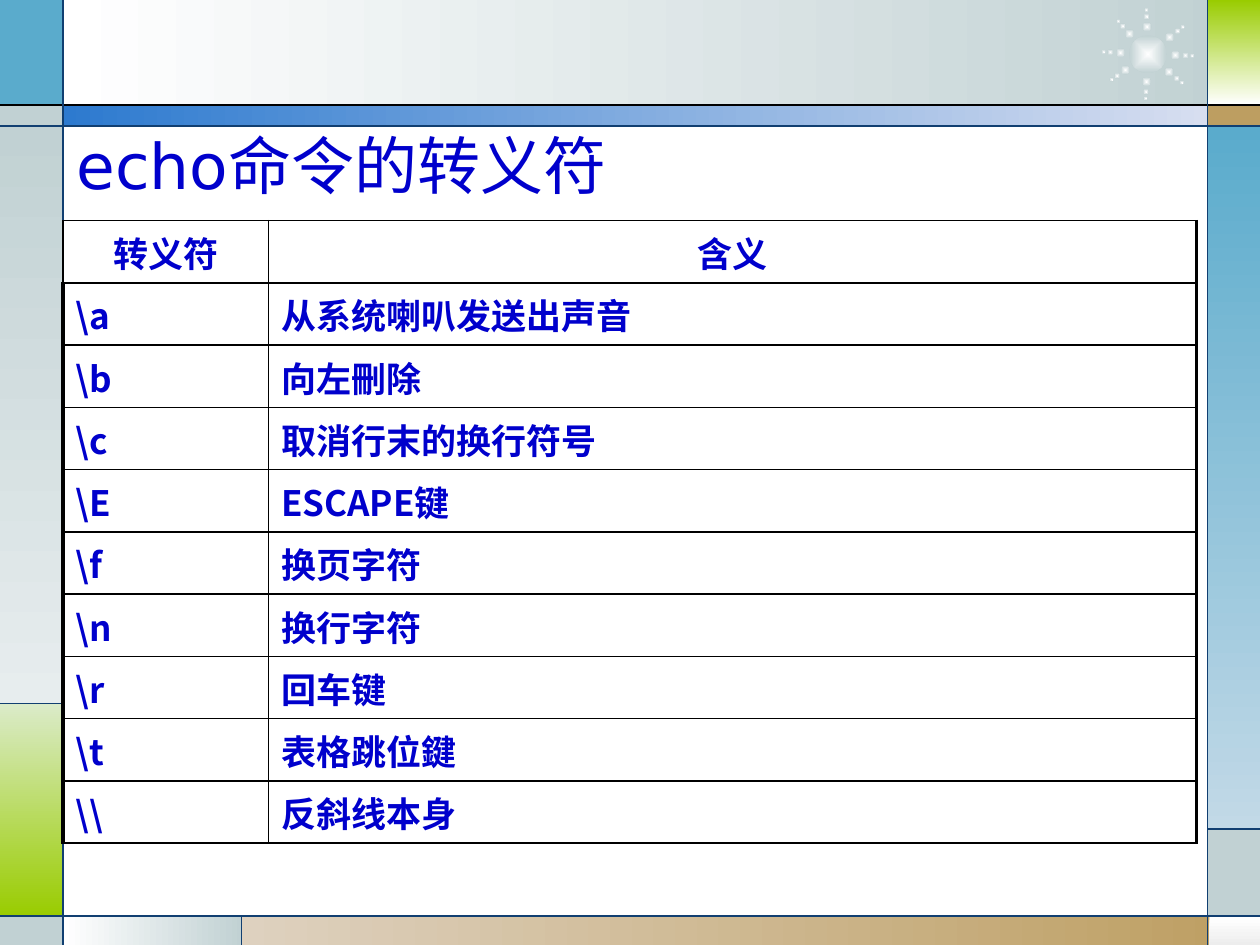
from math import cos, radians, sin

from lxml.etree import SubElement
from pptx import Presentation
from pptx.dml.color import RGBColor as Color
from pptx.enum.shapes import MSO_CONNECTOR as Connector, MSO_SHAPE as Shape
from pptx.enum.text import MSO_ANCHOR as Anchor, PP_ALIGN as Align
from pptx.oxml import parse_xml
from pptx.oxml.ns import nsdecls, qn
from pptx.util import Pt

COLORS = {
    "text": "0000CC", "black": "000000", "navy": "113F71", "white": "FFFFFF",
    "gray": "C1D1D3", "mist": "E7EDEE", "silver": "EDEDED",
    "sky": "5AABCC", "pale_sky": "C2D9E7", "blue": "2D7ACF", "pale_blue": "D7DEF0",
    "green": "99CC00", "pale_green": "DBEBC9", "tan": "BD9E61", "pale_tan": "DED1BF",
}
RIGHTWARD, DOWNWARD = 0, 270

PANELS = [
    (36, 0, 667.4, 60.5, ("white", "gray"), RIGHTWARD),
    (0, 0, 36, 60.5, ("sky",), None),
    (0, 60, 36, 12, ("gray",), None),
    (0, 72, 36, 330, ("gray", "mist"), DOWNWARD),
    (0, 402, 36, 122, ("pale_green", "green"), DOWNWARD),
    (0, 524, 36, 16, ("gray",), None),
    (36, 523.4, 103, 16.6, ("white", "gray"), RIGHTWARD),
    (138.2, 523.4, 581.8, 16.6, ("pale_tan", "tan"), RIGHTWARD),
    (691, 524, 29, 16, ("white", "silver"), DOWNWARD),
    (690.2, 473.8, 29.8, 50.2, ("gray",), None),
    (690, 72, 30, 401.8, ("sky", "pale_sky"), DOWNWARD),
    (690, 60, 30, 12, ("tan",), None),
    (690.2, 0, 29.8, 60, ("green", "white"), DOWNWARD),
    (36, 60, 654.2, 12, ("blue", "pale_blue"), RIGHTWARD),
]
RULES = [
    (0, 60, 720, 60, "black"),
    (0, 72, 720, 72, "navy"),
    (0, 523.4, 720, 523.4, "navy"),
    (36, 0, 36, 540, "navy"),
    (690, 0, 690, 540, "navy"),
    (36, 402, 0, 402, "navy"),
    (138.2, 523.4, 138.2, 540, "navy"),
    (690, 473.8, 720, 473.8, "navy"),
]
BURST_CENTER = (656, 31)
RAY_ANGLES = (40, 2, -38, 93, -92, -132, 183, 145)
RAY_DOTS = ((21.5, 3.4), (25.3, 2.5), (15.7, 5.3))
ESCAPES = [
    ("转义符", "含义"),
    ("\\a", "从系统喇叭发送出声音"),
    ("\\b", "向左刪除"),
    ("\\c", "取消行末的换行符号"),
    ("\\E", "ESCAPE键"),
    ("\\f", "换页字符"),
    ("\\n", "换行字符"),
    ("\\r", "回车键"),
    ("\\t", "表格跳位鍵"),
    ("\\\\", "反斜线本身"),
]


def rgb(name):
    """Return the colour that has this name."""
    return Color.from_string(COLORS[name])


class SlideBuilder:
    """Draws styled elements on one slide."""

    latin_font = "DejaVu Sans"
    chinese_font = "Noto Sans CJK SC"

    def __init__(self, slide):
        self.slide = slide

    def style_runs(self, paragraph, font, size, bold=False):
        """Format every run of a paragraph."""
        for run in paragraph.runs:
            run.font.name = font
            run.font.size = Pt(size)
            run.font.bold = bold
            run.font.color.rgb = rgb("text")
            east_asian = SubElement(run.font._element, qn("a:ea"))
            east_asian.set("typeface", self.chinese_font)

    def filled_shape(self, kind, left, top, width, height, fill, angle=None):
        """Add a shape without outline, in one colour or a gradient."""
        shape = self.slide.shapes.add_shape(kind, Pt(left), Pt(top), Pt(width), Pt(height))
        shape.shadow.inherit = False
        shape.line.fill.background()
        if len(fill) == 1:
            shape.fill.solid()
            shape.fill.fore_color.rgb = rgb(fill[0])
        else:
            shape.fill.gradient()
            for stop, name in zip(shape.fill.gradient_stops, fill):
                stop.color.rgb = rgb(name)
            if angle is not None:
                shape.fill.gradient_angle = angle
        return shape

    def dot(self, center_x, center_y, size):
        """Add a glowing dot around a centre."""
        shape = self.filled_shape(Shape.OVAL, center_x - size / 2, center_y - size / 2,
                                  size, size, ("white", "gray"))
        linear = shape._element.spPr.find(".//" + qn("a:lin"))
        radial = parse_xml(
            f'<a:path {nsdecls("a")} path="shape">'
            '<a:fillToRect l="50000" t="50000" r="50000" b="50000"/></a:path>')
        linear.getparent().replace(linear, radial)

    def burst(self, center, core_size):
        """Add a core with rays of dots around it."""
        self.dot(*center, core_size)
        for angle in map(radians, RAY_ANGLES):
            for radius, size in RAY_DOTS:
                self.dot(center[0] + radius * cos(angle), center[1] + radius * sin(angle), size)

    def rule(self, start_x, start_y, end_x, end_y, color):
        """Add a thin straight line."""
        connector = self.slide.shapes.add_connector(
            Connector.STRAIGHT, Pt(start_x), Pt(start_y), Pt(end_x), Pt(end_y))
        connector.line.color.rgb = rgb(color)
        connector.line.width = Pt(0.75)
        SubElement(connector._element.spPr, qn("a:effectLst"))

    def title(self, text, left, top, width, height):
        """Add the slide title."""
        shape = self.slide.shapes.add_textbox(Pt(left), Pt(top), Pt(width), Pt(height))
        text_frame = shape.text_frame
        text_frame.word_wrap = True
        text_frame.vertical_anchor = Anchor.MIDDLE
        text_frame.text = text
        self.style_runs(text_frame.paragraphs[0], self.latin_font, 36)

    def cell_borders(self, cell, widths):
        """Set the left, right, top and bottom borders of a cell."""
        properties = cell._tc.get_or_add_tcPr()
        for index, (side, width) in enumerate(zip("LRTB", widths)):
            properties.insert(index, parse_xml(
                f'<a:ln{side} {nsdecls("a")} w="{Pt(width)}"><a:solidFill>'
                f'<a:srgbClr val="{COLORS["black"]}"/></a:solidFill></a:ln{side}>'))

    def table(self, rows, left, top, column_widths, row_height):
        """Add a ruled table with a centred header row."""
        frame = self.slide.shapes.add_table(
            len(rows), len(column_widths), Pt(left), Pt(top),
            Pt(sum(column_widths)), Pt(row_height * len(rows)))
        table = frame.table
        table.first_row = table.horz_banding = False
        for column, width in zip(table.columns, column_widths):
            column.width = Pt(width)
        for row_index, values in enumerate(rows):
            table.rows[row_index].height = Pt(row_height)
            for column_index, value in enumerate(values):
                cell = table.cell(row_index, column_index)
                cell.text_frame.text = value
                paragraph = cell.text_frame.paragraphs[0]
                paragraph.alignment = Align.LEFT if row_index else Align.CENTER
                self.style_runs(paragraph, self.chinese_font, 20, bold=True)
                cell.fill.background()
                left_width = 2 if row_index and column_index == 0 else 1
                right_width = 2 if column_index == len(values) - 1 else 1
                self.cell_borders(cell, (left_width, right_width, 1, 1))


def main():
    """Build the slide and save it."""
    presentation = Presentation()
    presentation.slide_width, presentation.slide_height = Pt(720), Pt(540)
    builder = SlideBuilder(presentation.slides.add_slide(presentation.slide_layouts[6]))
    for panel in PANELS:
        builder.filled_shape(Shape.RECTANGLE, *panel)
    builder.burst(BURST_CENTER, 21.6)
    for rule in RULES:
        builder.rule(*rule)
    builder.title("echo命令的转义符", 36.7, 71.3, 527.8, 44.6)
    builder.table(ESCAPES, 36, 126, (117.4, 530.6), 35.6)
    presentation.save("out.pptx")


if __name__ == "__main__":
    main()
